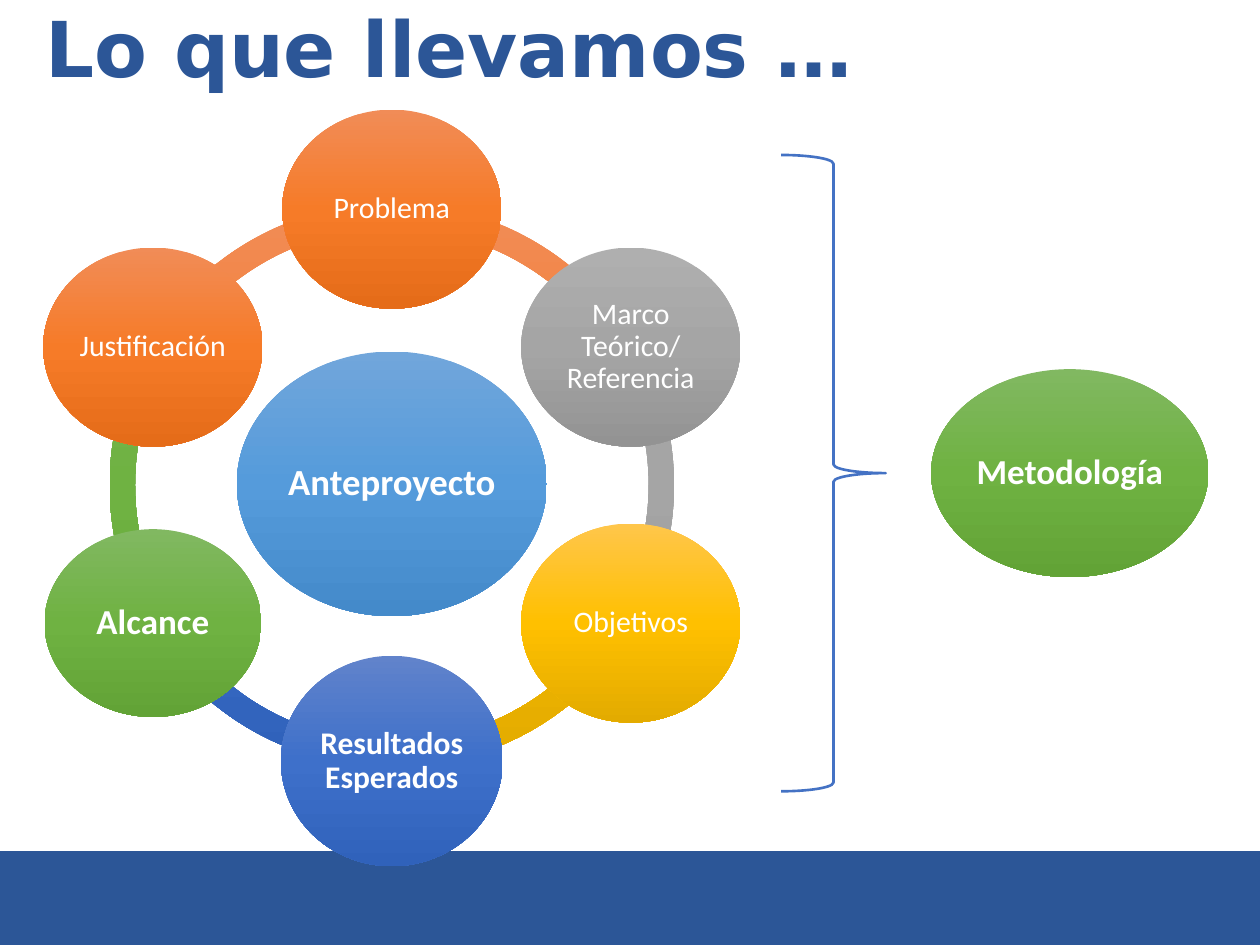
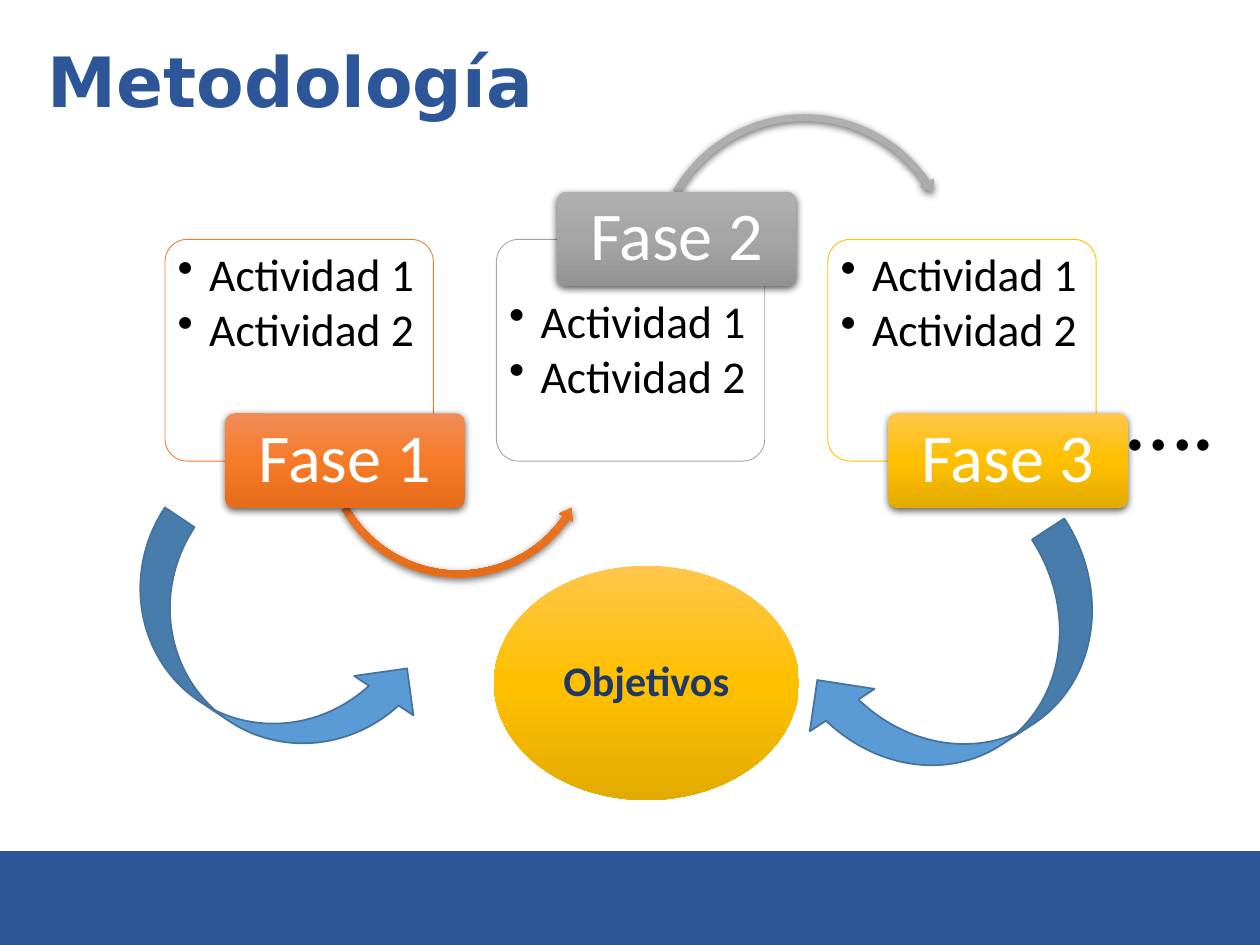
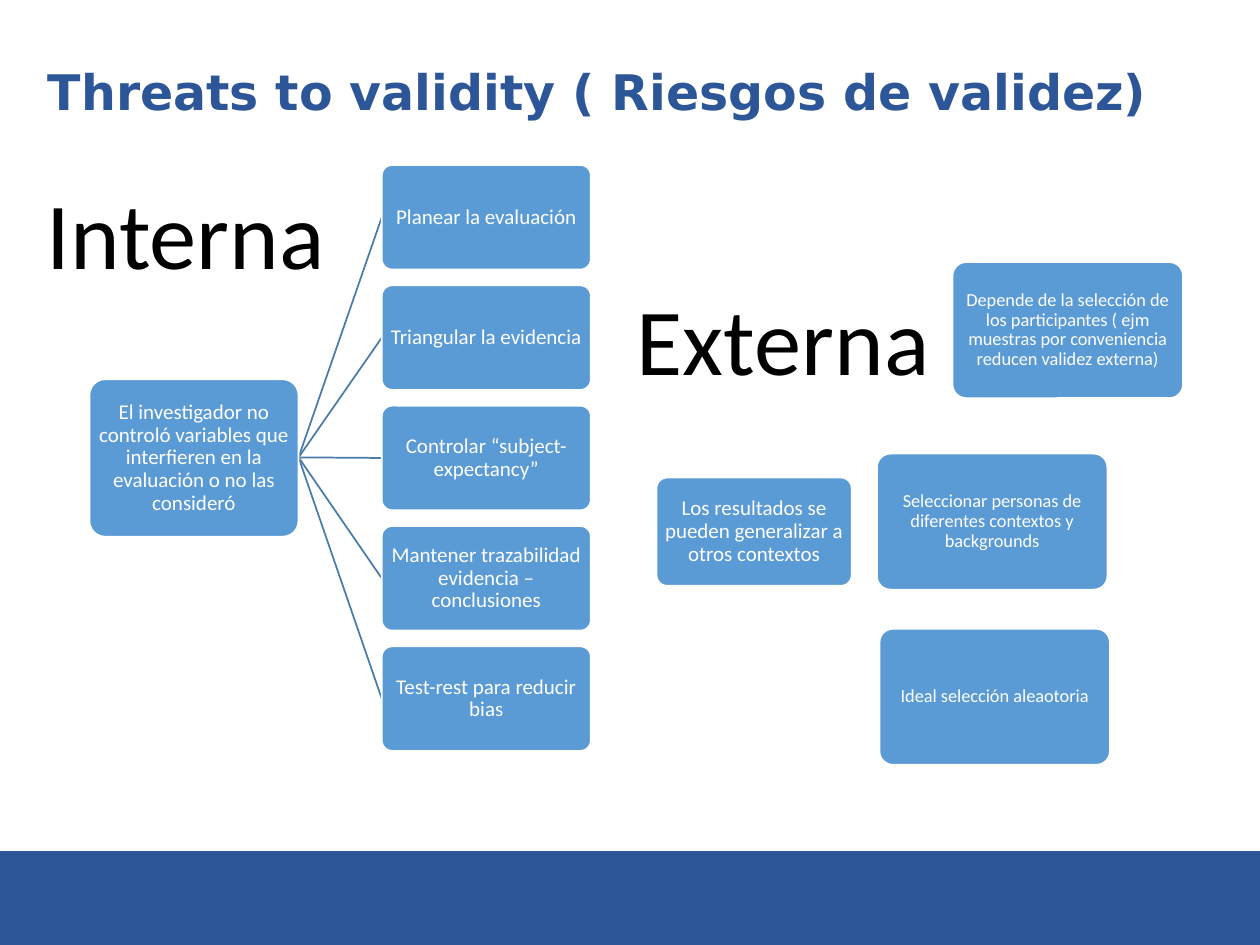
from copy import deepcopy
from math import cos, radians, sin

from lxml import etree
from pptx import Presentation
from pptx.dml.color import RGBColor
from pptx.enum.shapes import MSO_CONNECTOR, MSO_SHAPE
from pptx.enum.text import MSO_ANCHOR, MSO_AUTO_SIZE, PP_ALIGN
from pptx.oxml.ns import qn
from pptx.util import Inches, Pt

OVAL, ROUNDED = MSO_SHAPE.OVAL, MSO_SHAPE.ROUNDED_RECTANGLE
LEFT, CENTER = PP_ALIGN.LEFT, PP_ALIGN.CENTER
TOP, MIDDLE = MSO_ANCHOR.TOP, MSO_ANCHOR.MIDDLE


class Theme:
    navy, white, black = "2C5697", "FFFFFF", "000000"
    dark_text, brace = "203864", "4472C4"
    box, arrow_edge, link = "5B9BD5", "43739E", "497CAB"
    # Gradients run from top to bottom
    orange = ("F18C57", "F67B28", "E56C19")
    gray = ("AFAFAF", "A5A5A5", "939393")
    yellow = ("FFC64B", "FFC000", "E3AB00")
    green = ("81B861", "6FB242", "62A336")
    indigo = ("6183CB", "3E70CA", "3062BB")
    sky = ("71A6DB", "559BDB", "448ACA")
    orange_edge, gray_edge, yellow_edge = "ED7D31", "A5A5A5", "FFC000"
    title_font, body_font = "DejaVu Sans", "Calibri"
    display, phase, activity, objective = 54, 39, 26, 24
    hub, strong, result, node, note, small_note = 21, 20, 18, 17, 12, 10.5


presentation = Presentation()
presentation.slide_width, presentation.slide_height = Inches(10), Inches(7.5)
CELL = presentation.slide_width // 10  # the slide is a grid of 10 columns by 7.5 rows


def add_shape(slide, kind, box, fill=None, line=None, line_width=1.0, shadow=False):
    """Add a shape; box is in grid cells, fill is one colour or three gradient colours."""
    shape = slide.shapes.add_shape(kind, *[round(length * CELL) for length in box])
    shape.shadow.inherit = False
    if fill is None:
        shape.fill.background()
    elif isinstance(fill, str):
        shape.fill.solid()
        shape.fill.fore_color.rgb = RGBColor.from_string(fill)
    else:
        shape.fill.gradient()
        shape.fill.gradient_angle = 270
        stop_list = shape.element.spPr.find(".//" + qn("a:gsLst"))
        stop_list.insert(1, deepcopy(stop_list[0]))
        for stop, color, position in zip(shape.fill.gradient_stops, fill, (0, 0.5, 1)):
            stop.color.rgb = RGBColor.from_string(color)
            stop.position = position
    if line:
        shape.line.color.rgb = RGBColor.from_string(line)
        shape.line.width = Pt(line_width)
    else:
        shape.line.fill.background()
    if shadow:
        effects = shape.element.spPr.find(qn("a:effectLst"))
        outer = etree.SubElement(effects, qn("a:outerShdw"), blurRad=str(Pt(4.5)),
                                 dist=str(Pt(1.5)), dir="5400000", rotWithShape="0")
        color = etree.SubElement(outer, qn("a:srgbClr"), val=Theme.black)
        etree.SubElement(color, qn("a:alpha"), val="63000")
    return shape


def write(shape, text, size, color=Theme.white, bold=False, font=Theme.body_font,
          align=CENTER, anchor=MIDDLE, insets=(0.02, 0.02, 0.02, 0.02), wrap=True, spacing=0.9):
    frame = shape.text_frame
    frame.text = text
    frame.word_wrap = wrap
    frame.auto_size = MSO_AUTO_SIZE.NONE
    frame.vertical_anchor = anchor
    (frame.margin_left, frame.margin_top,
     frame.margin_right, frame.margin_bottom) = [Inches(inset) for inset in insets]
    for paragraph in frame.paragraphs:
        paragraph.alignment = align
        paragraph.line_spacing = spacing
        for run in paragraph.runs:
            run.font.name = font
            run.font.size = Pt(size)
            run.font.bold = bold
            run.font.color.rgb = RGBColor.from_string(color)


# Slides, titles and the band on the master
titles = [
    ("Lo que llevamos …", 44, (0.26, 0.04, 9.47, 0.76)),
    ("Metodología", 39.6, (0.28, 0.37, 9.47, 0.61)),
    ("Threats to validity ( Riesgos de validez)", 28, (0.28, 0.4, 9.47, 0.7)),
]
for text, size, box in titles:
    slide = presentation.slides.add_slide(presentation.slide_layouts[5])
    title = slide.shapes.title
    title.left, title.top, title.width, title.height = [round(length * CELL) for length in box]
    write(title, text, size, Theme.navy, True, Theme.title_font, LEFT,
          insets=(0.1, 0.05, 0.1, 0.05))
progress_slide, method_slide, validity_slide = presentation.slides

band = add_shape(progress_slide, MSO_SHAPE.RECTANGLE, (0, 6.76, 10, 0.74),
                 Theme.navy, Theme.navy)
presentation.slide_master.shapes.element.append(band.element)

# Slide 1: ring of topics around the hub, clockwise from the top
nodes = [
    ("Problema", Theme.orange, 1.74, 1.58, Theme.node, False),
    ("Marco Teórico/ Referencia", Theme.gray, 1.74, 1.58, Theme.node, False),
    ("Objetivos", Theme.yellow, 1.74, 1.58, Theme.node, False),
    ("Resultados Esperados", Theme.indigo, 1.76, 1.67, Theme.result, True),
    ("Alcance", Theme.green, 1.72, 1.49, Theme.strong, True),
    ("Justificación", Theme.orange, 1.74, 1.58, Theme.node, False),
]
center_x, center_y, radius, ring = 3.11, 3.85, 2.19, 4.48
step = 360 / len(nodes)
for index, node in reversed(list(enumerate(nodes))):
    start = 270 + step * index
    arc = add_shape(progress_slide, MSO_SHAPE.BLOCK_ARC,
                    (center_x - ring / 2, center_y - ring / 2, ring, ring), node[1])
    # One unit of an angle adjustment is 100000 / 60000 degrees
    arc.adjustments[0] = start % 360 * 0.6
    arc.adjustments[1] = (start + step) % 360 * 0.6
    arc.adjustments[2] = 0.045

hub = add_shape(progress_slide, OVAL, (1.88, 2.79, 2.46, 2.1), Theme.sky)
write(hub, "Anteproyecto", Theme.hub, bold=True)
for index, (text, color, width, height, size, bold) in enumerate(nodes):
    angle = radians(270 + step * index)
    left = center_x + radius * cos(angle) - width / 2
    top = center_y + radius * sin(angle) - height / 2
    topic = add_shape(progress_slide, OVAL, (left, top, width, height), color)
    write(topic, text, size, bold=bold)

next_topic = add_shape(progress_slide, OVAL, (7.39, 2.93, 2.2, 1.65), Theme.green)
write(next_topic, "Metodología", Theme.strong, bold=True)
add_shape(progress_slide, MSO_SHAPE.RIGHT_BRACE, (6.2, 1.23, 0.83, 5.05),
          line=Theme.brace, line_width=1.5)

# Slide 2: phases with their activities, labels alternating below and above
phases = [
    ("Fase 1", Theme.orange, Theme.orange_edge, MSO_SHAPE.LEFT_CIRCULAR_ARROW,
     (2.54, 2.42, 2.2, 2.2), (0.025, 2.981, 20.737, 90.245, 0.029)),
    ("Fase 2", Theme.gray, Theme.gray_edge, MSO_SHAPE.CIRCULAR_ARROW,
     (5.15, 0.87, 2.47, 2.47), (0.022, 2.636, 195.609, 125.755, 0.026)),
    ("Fase 3", Theme.yellow, Theme.yellow_edge, None, None, None),
]
for index, (name, color, edge, arrow_kind, arrow_box, arrow_shape) in enumerate(phases):
    left = 1.31 + 2.63 * index
    label_above = index % 2 == 1
    card = add_shape(method_slide, ROUNDED, (left, 1.9, 2.13, 1.76), Theme.white, edge, 0.5)
    card.adjustments[0] = 0.1
    card_color = card.element.spPr.find(qn("a:solidFill"))[0]
    etree.SubElement(card_color, qn("a:alpha"), val="90000")
    write(card, "Actividad 1\nActividad 2", Theme.activity, Theme.black, align=LEFT, anchor=TOP,
          insets=(0.05, 0.42 if label_above else 0.05, 0.03, 0.03))
    for paragraph in card.text_frame.paragraphs:
        paragraph.space_after = Pt(3.5)
        properties = paragraph._p.get_or_add_pPr()
        properties.set("marL", str(Inches(0.25)))
        properties.set("indent", str(-Inches(0.25)))
        etree.SubElement(properties, qn("a:buChar"), char="•")
    if arrow_kind:
        arrow = add_shape(method_slide, arrow_kind, arrow_box, color, shadow=True)
        for position, value in enumerate(arrow_shape):
            arrow.adjustments[position] = value
    label = add_shape(method_slide, ROUNDED,
                      (left + 0.48, 1.52 if label_above else 3.28, 1.9, 0.75),
                      color, shadow=True)
    label.adjustments[0] = 0.1
    write(label, name, Theme.phase, insets=(0.08, 0.05, 0.08, 0.05))

goal = add_shape(method_slide, OVAL, (3.92, 4.49, 2.42, 1.86), Theme.yellow)
write(goal, "Objetivos", Theme.objective, Theme.dark_text, True)
for kind, box, rotation in [
    (MSO_SHAPE.CURVED_UP_ARROW, (0.78, 4.65, 2.59, 1.13), 33.6),
    (MSO_SHAPE.CURVED_LEFT_ARROW, (7.06, 4.03, 1.23, 2.65), 56.8),
]:
    add_shape(method_slide, kind, box, Theme.box, Theme.arrow_edge).rotation = rotation

# Slide 3: internal risk linked to its remedies, and external risk beside its own
remedies = [
    "Planear la evaluación",
    "Triangular la evidencia",
    "Controlar “subject-expectancy”",
    "Mantener trazabilidad evidencia – conclusiones",
    "Test-rest para reducir bias",
]
notes = [
    ("El investigador no controló variables que interfieren en la evaluación o no las consideró",
     (0.71, 3.01, 1.66, 1.25), Theme.note),
    ("Los resultados se pueden generalizar a otros contextos",
     (5.21, 3.79, 1.55, 0.86), Theme.note),
    ("Depende de la selección de los participantes ( ejm muestras por conveniencia "
     "reducen validez externa)", (7.56, 2.08, 1.83, 1.08), Theme.small_note),
    ("Seleccionar personas de diferentes contextos y backgrounds",
     (6.96, 3.6, 1.83, 1.08), Theme.small_note),
    ("Ideal selección aleaotoria", (6.98, 4.99, 1.83, 1.08), Theme.small_note),
]
remedy_left, remedy_height, risk_right, risk_middle = 3.03, 0.83, 2.37, 3.63
for index, text in enumerate(remedies):
    top = 1.31 + 0.955 * index
    notes.append((text, (remedy_left, top, 1.66, remedy_height), Theme.note))
    ends = (risk_right, risk_middle, remedy_left, top + remedy_height / 2)
    link = validity_slide.shapes.add_connector(
        MSO_CONNECTOR.STRAIGHT, *[round(length * CELL) for length in ends])
    link.line.color.rgb = RGBColor.from_string(Theme.link)
    link.line.width = Pt(1)
    etree.SubElement(link.element.spPr, qn("a:effectLst"))
for text, box, size in notes:
    note = add_shape(validity_slide, ROUNDED, box, Theme.box, Theme.white)
    note.adjustments[0] = 0.1
    write(note, text, size, insets=(0.01, 0.01, 0.01, 0.01))

# Large free-standing words
for slide, text, box, wrap in [
    (method_slide, "….", (8.48, 2.78, 1.62, 1.01), True),
    (validity_slide, "Interna", (0.26, 1.34, 2.43, 1.01), False),
    (validity_slide, "Externa", (4.94, 2.18, 2.55, 1.01), False),
]:
    word = slide.shapes.add_textbox(*[round(length * CELL) for length in box])
    write(word, text, Theme.display, Theme.black, anchor=TOP,
          insets=(0.1, 0.05, 0.1, 0.05), wrap=wrap, spacing=1.0)

presentation.save("out.pptx")
